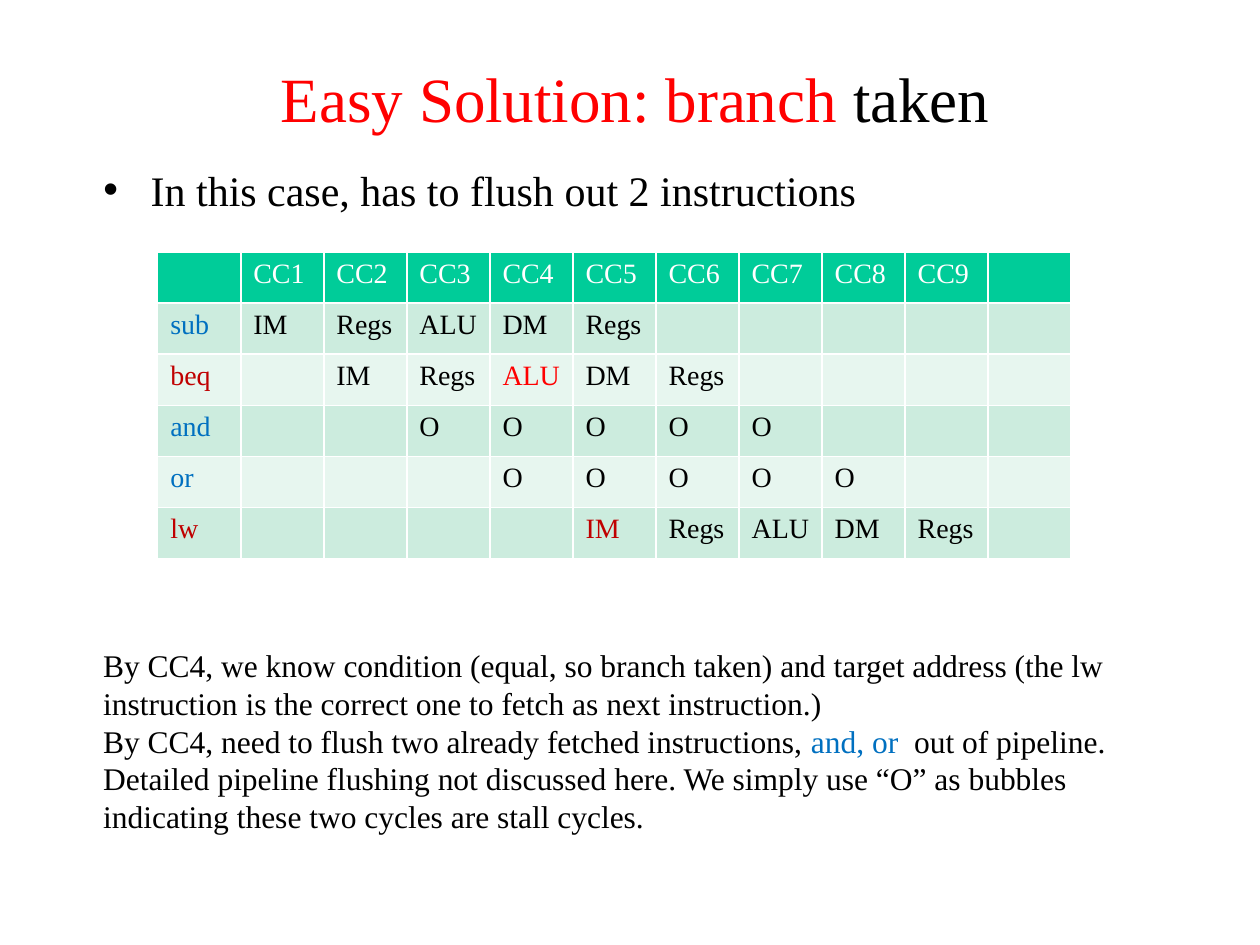
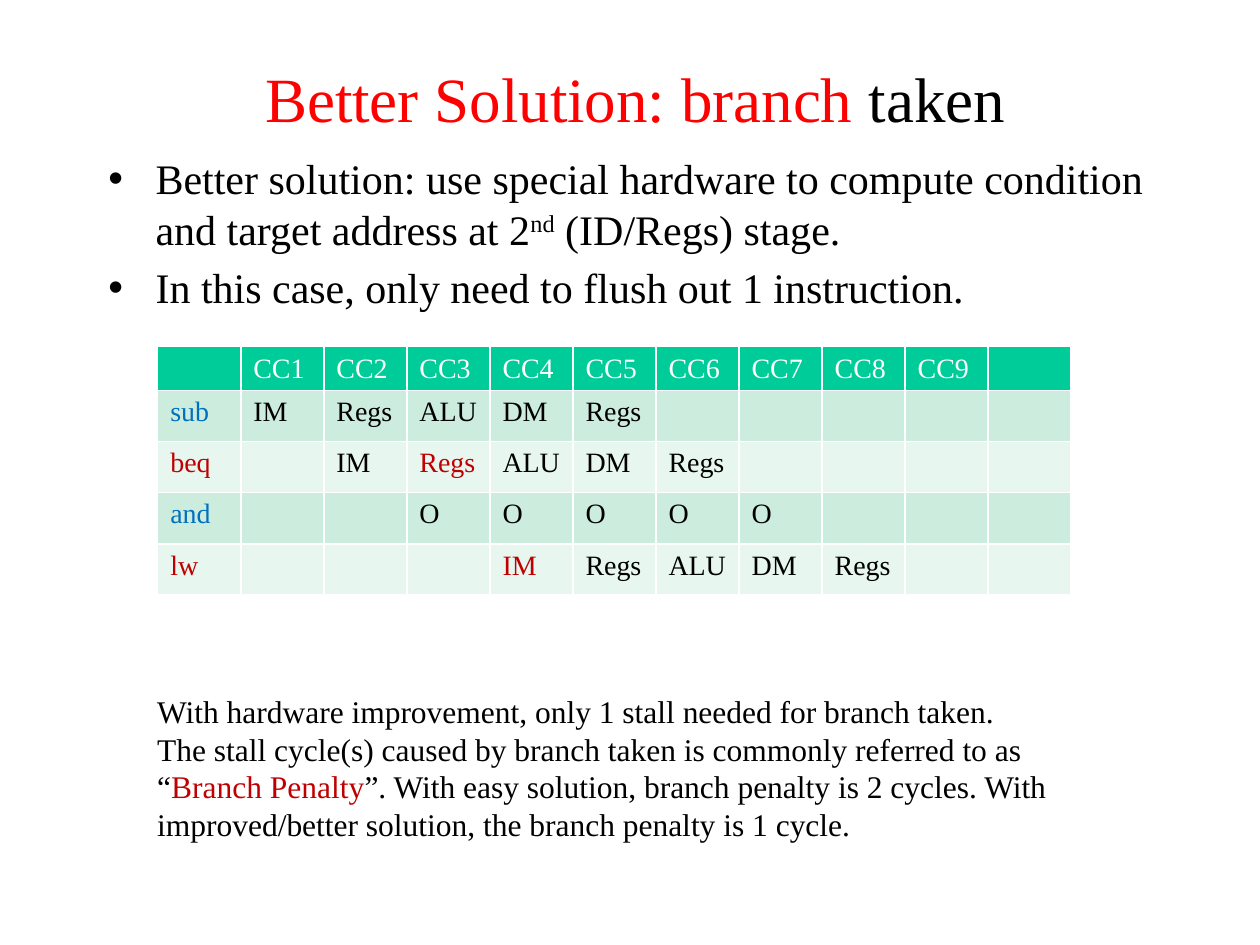
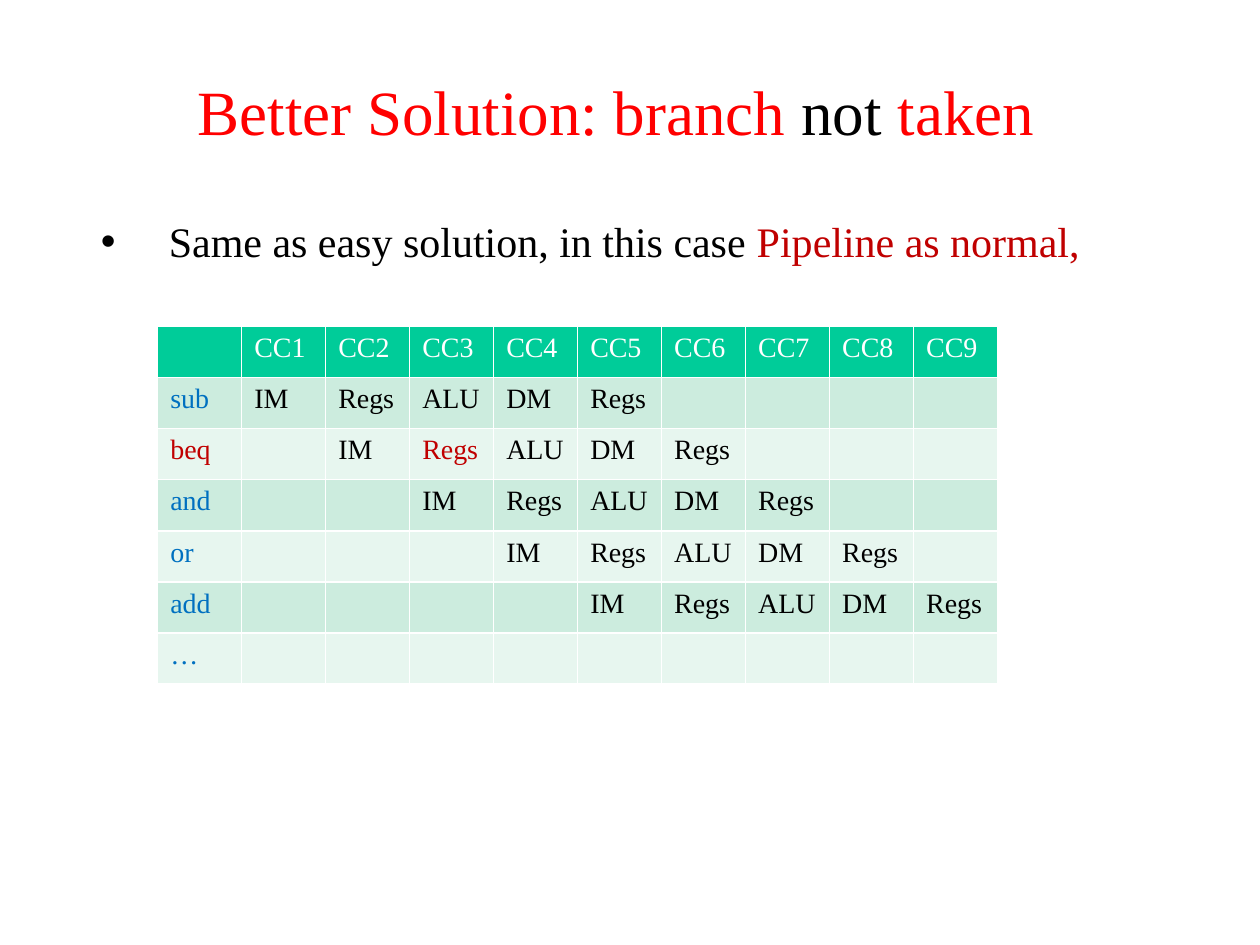
from pptx import Presentation
from pptx.dml.color import RGBColor
from pptx.enum import text as t
from pptx.util import Cm, Pt

BLACK = RGBColor(0, 0, 0)
WHITE = RGBColor(255, 255, 255)
RED = RGBColor(255, 0, 0)
DARK_RED = RGBColor(0xC0, 0, 0)
BLUE = RGBColor(0, 0x70, 0xC0)
HEADER_GREEN = RGBColor(0, 0xCC, 0x99)
BANDS = [RGBColor(0xCC, 0xEC, 0xDE), RGBColor(0xE7, 0xF6, 0xEF)]

FONT = "Times New Roman"
ROW_HEIGHT = Cm(1.03)
STAGES = ["IM", "Regs", "ALU", "DM", "Regs"]
FLUSHED = ["O"] * 5
CYCLES = [f"CC{n}" for n in range(1, 10)]
KEY_INSTRUCTIONS = ["beq", "lw"]


def add_runs(paragraph, size, runs):
    """Fill a paragraph with (text, colour) runs in the shared font."""
    paragraph.font.name = FONT
    paragraph.font.size = Pt(size)
    for words, colour in runs:
        run = paragraph.add_run()
        run.text = words
        run.font.color.rgb = colour


def add_paragraphs(frame, size, paragraphs):
    for i, runs in enumerate(paragraphs):
        paragraph = frame.add_paragraph() if i else frame.paragraphs[0]
        add_runs(paragraph, size, runs)


# Positions are (left, top) or (left, top, width, height) in cm.
# Each instruction enters the pipeline one cycle after the one before it;
# "marks" maps (instruction, stage number) to the colour that stands out.
slides = [
    {
        "title": [("Easy Solution: branch ", RED), ("taken", BLACK)],
        "title_at": (2.01, 1.12),
        "points": [[("In this case, has to flush out 2 instructions", BLACK)]],
        "points_at": (1.83, 3.18),
        "table_top": 5.08,
        "header_height": ROW_HEIGHT,
        "column_width": 1.674,
        "columns": CYCLES + [""],
        "instructions": [("sub", STAGES), ("beq", STAGES), ("and", FLUSHED),
                         ("or", FLUSHED), ("lw", STAGES)],
        "marks": {("beq", 2): RED, ("lw", 0): DARK_RED},
        "notes_at": (1.83, 12.9, 22.1, 4.11),
        "notes": [
            [("By CC4, we know condition (equal, so branch taken) and target address "
              "(the lw instruction is the correct one to fetch as next instruction.)", BLACK)],
            [("By CC4, need to flush two already fetched instructions, ", BLACK),
             ("and, or ", BLUE), (" out of pipeline.", BLACK)],
            [("Detailed pipeline flushing not discussed here. We simply use “O” as bubbles "
              "indicating these two cycles are stall cycles.", BLACK)],
        ],
    },
    {
        "title": [("Better Solution: branch ", RED), ("taken", BLACK)],
        "title_at": (2.01, 1.12),
        "points": [
            [("Better solution: use special hardware to compute condition "
              "and target address at 2", BLACK), ("nd", BLACK), (" (ID/Regs) stage.", BLACK)],
            [("In this case, only need to flush out 1 instruction.", BLACK)],
        ],
        "points_at": (1.93, 2.95),
        "table_top": 6.99,
        "header_height": Cm(0.87),
        "column_width": 1.674,
        "columns": CYCLES + [""],
        "instructions": [("sub", STAGES), ("beq", STAGES), ("and", FLUSHED), ("lw", STAGES)],
        "marks": {("beq", 1): DARK_RED, ("lw", 0): DARK_RED},
        "notes_at": (2.92, 13.82, 19.66, 3.33),
        "notes": [
            [("With hardware improvement, only 1 stall needed for branch taken.", BLACK)],
            [("The stall cycle(s) caused by branch taken is commonly referred to as “", BLACK),
             ("Branch Penalty", DARK_RED),
             ("”. With easy solution, branch penalty is 2 cycles. With improved/better "
              "solution, the branch penalty is 1 cycle.", BLACK)],
        ],
    },
    {
        "title": [("Better Solution: branch ", RED), ("not", BLACK), (" taken ", RED)],
        "title_at": (1.78, 1.37),
        "points": [[("Same as easy solution, in this case ", BLACK),
                    ("Pipeline as normal,", DARK_RED)]],
        "points_at": (1.78, 4.22),
        "points_indent": Cm(1.37),
        "table_top": 6.58,
        "header_height": ROW_HEIGHT,
        "column_width": 1.693,
        "columns": CYCLES,
        "instructions": [("sub", STAGES), ("beq", STAGES), ("and", STAGES),
                         ("or", STAGES), ("add", STAGES), ("…", [])],
        "marks": {("beq", 1): DARK_RED},
    },
]

prs = Presentation()
prs.slide_width, prs.slide_height = Cm(25.4), Cm(19.05)

for content in slides:
    slide = prs.slides.add_slide(prs.slide_layouts[1])

    title, points = slide.placeholders
    for holder, corner, height in ((title, content["title_at"], 1.7),
                                   (points, content["points_at"], 11.43)):
        holder.left, holder.top = (Cm(v) for v in corner)
        holder.width, holder.height = Cm(21.59), Cm(height)
        holder.text_frame.auto_size = t.MSO_AUTO_SIZE.NONE
    add_paragraphs(title.text_frame, 36, [content["title"]])
    add_paragraphs(points.text_frame, 24, content["points"])

    for point in points.text_frame.paragraphs:
        if "points_indent" in content:
            properties = point._p.get_or_add_pPr()
            properties.set("marL", str(content["points_indent"]))
            properties.set("indent", str(-content["points_indent"]))
        for run in point.runs:
            if run.text == "nd":
                run.font._element.set("baseline", "30000")

    # Pipeline table: one column per clock cycle, one row per instruction
    rows = [[("", WHITE)] + [(cycle, WHITE) for cycle in content["columns"]]]
    for start, (name, stages) in enumerate(content["instructions"]):
        row = [("", BLACK)] * len(rows[0])
        row[0] = (name, DARK_RED if name in KEY_INSTRUCTIONS else BLUE)
        for n, stage in enumerate(stages):
            row[1 + start + n] = (stage, content["marks"].get((name, n), BLACK))
        rows.append(row)

    column_width = Cm(content["column_width"])
    height = content["header_height"] + ROW_HEIGHT * (len(rows) - 1)
    pipeline = slide.shapes.add_table(
        len(rows), len(rows[0]), Cm(3.18), Cm(content["table_top"]),
        column_width * len(rows[0]), height).table
    for column in pipeline.columns:
        column.width = column_width
    for r, row in enumerate(rows):
        pipeline.rows[r].height = ROW_HEIGHT if r else content["header_height"]
        for c, (words, colour) in enumerate(row):
            cell = pipeline.cell(r, c)
            cell.fill.solid()
            cell.fill.fore_color.rgb = BANDS[(r - 1) % 2] if r else HEADER_GREEN
            paragraph = cell.text_frame.paragraphs[0]
            add_runs(paragraph, 16, [(words, colour)] if words else [])
            paragraph.font.bold = False

    if "notes" in content:
        notes = slide.shapes.add_textbox(*(Cm(v) for v in content["notes_at"])).text_frame
        notes.word_wrap = True
        notes.auto_size = t.MSO_AUTO_SIZE.SHAPE_TO_FIT_TEXT
        add_paragraphs(notes, 18, content["notes"])

prs.save("out.pptx")
